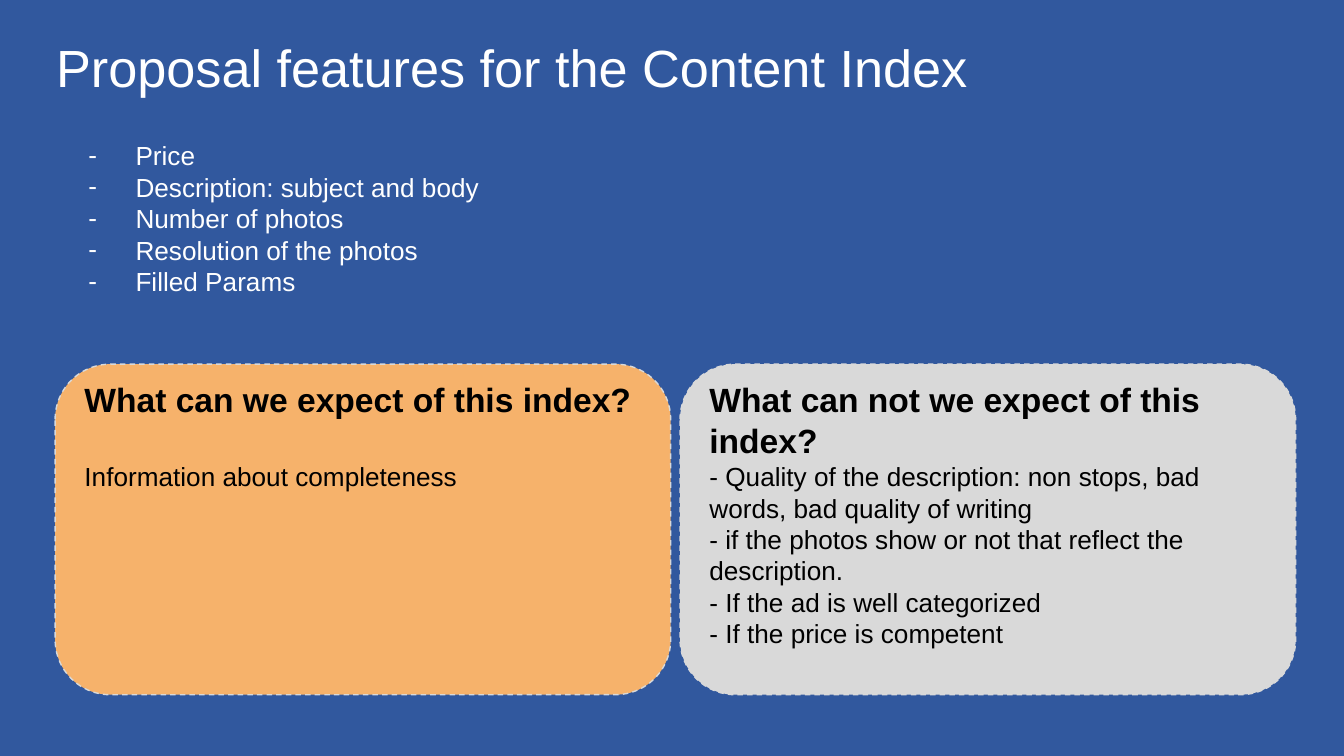
from pptx import Presentation
from pptx.dml.color import RGBColor
from pptx.enum.dml import MSO_LINE
from pptx.enum.shapes import MSO_SHAPE
from pptx.enum.text import MSO_ANCHOR, PP_ALIGN
from pptx.oxml.ns import qn
from pptx.util import Pt
from lxml import etree

TITLE = "Proposal features for the Content Index"
FEATURES = ["Price", "Description: subject and body", "Number of photos",
            "Resolution of the photos", "Filled Params"]
CARDS = [
    ("F6B26B", "What can we expect of this index?", 22,
     ["Information about completeness"]),
    ("D9D9D9", "What can not we expect of this index?", 0,
     ["- Quality of the description: non stops, bad words, bad quality of writing",
      "- if the photos show or not that reflect the description.",
      "- If the ad is well categorized",
      "- If the price is competent"]),
]
BLUE, WHITE, BLACK, GREY = "31589E", "FFFFFF", "000000", "D9D9D9"
TITLE_TEXT = {"size": Pt(28), "bold": False}
HEADING = {"size": Pt(18), "bold": True}
BODY = {"size": Pt(14), "bold": False}
LEADING = {28: 35, 18: 22, 14: 16.8}
CARD_LEFT, CARD_TOP, CARD_W, CARD_H, CARD_GAP = 29.5, 195.1, 329.8, 177.1, 5


def rgb(code):
    """Turn a hex string into a colour."""
    return RGBColor.from_string(code)


def fill_text(tf, lines, color, top=7.2):
    """Write (text, format, space after) lines into a text frame."""
    frame = {"word_wrap": True, "vertical_anchor": MSO_ANCHOR.TOP,
             "margin_left": Pt(7.2), "margin_right": Pt(7.2),
             "margin_top": Pt(top), "margin_bottom": Pt(0)}
    for name, value in frame.items():
        setattr(tf, name, value)
    for i, (text, style, after) in enumerate(lines):
        p = tf.add_paragraph() if i else tf.paragraphs[0]
        p.alignment = PP_ALIGN.LEFT
        p.line_spacing = Pt(LEADING[style["size"].pt])
        p.space_after = Pt(after)
        r = p.add_run()
        r.text = text
        for name, value in {"name": "Arial", **style}.items():
            setattr(r.font, name, value)
        r.font.color.rgb = rgb(color)


def add_bullet(p):
    """Give a paragraph a white dash with a hanging indent."""
    pPr = p._p.get_or_add_pPr()
    pPr.set("marL", str(Pt(36)))
    pPr.set("indent", str(Pt(-25.2)))
    color = etree.SubElement(pPr, qn("a:buClr"))
    etree.SubElement(color, qn("a:srgbClr"), val=WHITE)
    etree.SubElement(pPr, qn("a:buFont"), typeface="Arial")
    etree.SubElement(pPr, qn("a:buChar"), char="-")


prs = Presentation()
prs.slide_width, prs.slide_height = Pt(720), Pt(405)
s = prs.slides.add_slide(prs.slide_layouts[6])
s.background.fill.solid()
s.background.fill.fore_color.rgb = rgb(BLUE)

title = s.shapes.add_textbox(Pt(23), Pt(10.1), Pt(671), Pt(41.8))
fill_text(title.text_frame, [(TITLE, TITLE_TEXT, 0)], WHITE)

features = s.shapes.add_textbox(Pt(29.5), Pt(67.7), Pt(666), Pt(319.7))
fill_text(features.text_frame, [(f, BODY, 0) for f in FEATURES], WHITE)
for p in features.text_frame.paragraphs:
    add_bullet(p)

for i, (color, heading, gap, points) in enumerate(CARDS):
    left = CARD_LEFT + i * (CARD_W + CARD_GAP)
    card = s.shapes.add_shape(MSO_SHAPE.ROUNDED_RECTANGLE, Pt(left), Pt(CARD_TOP),
                              Pt(CARD_W), Pt(CARD_H))
    card.shadow.inherit = False
    card.adjustments[0] = 0.167
    card.fill.solid()
    card.fill.fore_color.rgb = rgb(color)
    card.line.color.rgb = rgb(GREY)
    card.line.width = Pt(0.75)
    card.line.dash_style = MSO_LINE.DASH
    lines = [(heading, HEADING, gap)] + [(text, BODY, 0) for text in points]
    fill_text(card.text_frame, lines, BLACK, top=-1)

prs.save("out.pptx")
